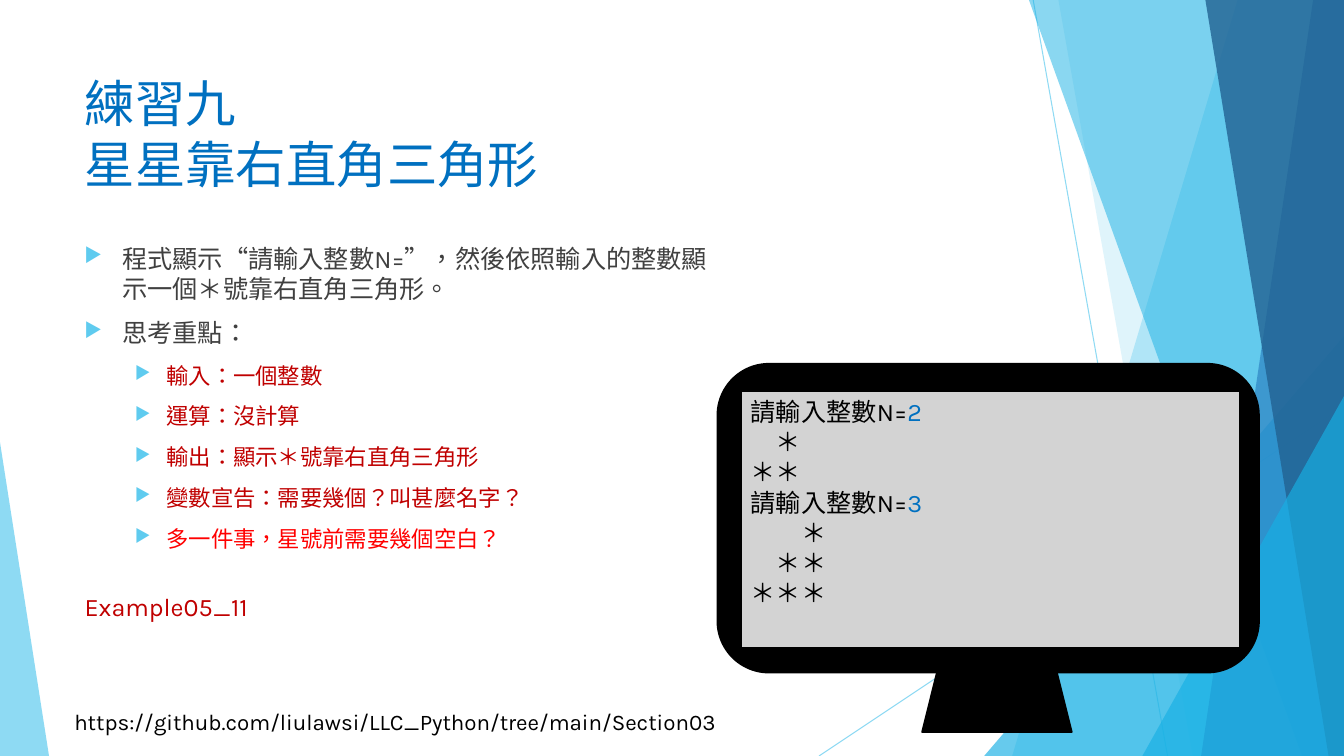
from dataclasses import dataclass

from lxml import etree
from pptx import Presentation
from pptx.dml.color import RGBColor
from pptx.enum.lang import MSO_LANGUAGE_ID
from pptx.enum.shapes import MSO_CONNECTOR, MSO_SHAPE
from pptx.enum.text import MSO_ANCHOR, MSO_AUTO_SIZE, PP_ALIGN
from pptx.oxml.ns import qn
from pptx.util import Pt

STRAIGHT = MSO_CONNECTOR.STRAIGHT
RECT = MSO_SHAPE.RECTANGLE
ROUNDED = MSO_SHAPE.ROUNDED_RECTANGLE
TRAPEZOID = MSO_SHAPE.TRAPEZOID
TRIANGLE = MSO_SHAPE.ISOSCELES_TRIANGLE
TOP = MSO_ANCHOR.TOP
LEFT = PP_ALIGN.LEFT
FIXED = MSO_AUTO_SIZE.NONE
ZH_TW = MSO_LANGUAGE_ID.TRADITIONAL_CHINESE
WIDTH, HEIGHT = 960, 540


@dataclass(frozen=True)
class Theme:
    font: str = "Karla"
    sky: str = "5FCBEF"
    cyan: str = "17B0E4"
    steel: str = "2E83C3"
    navy: str = "226292"
    blue: str = "0070C0"
    ink: str = "404040"
    black: str = "000000"
    screen: str = "D3D3D3"
    dark_red: str = "C00000"
    red: str = "FF0000"
    title_size: int = 36
    body_size: int = 18
    small_size: int = 16


class Deck:
    def __init__(self, theme):
        self.theme = theme
        self.prs = Presentation()
        self.prs.slide_width, self.prs.slide_height = Pt(WIDTH), Pt(HEIGHT)
        self.s = self.prs.slides.add_slide(self.prs.slide_layouts[5])

    def fade(self, sp, opacity):
        for clr in sp._element.spPr.iter(qn("a:srgbClr")):
            etree.SubElement(clr, qn("a:alpha"), val=str(opacity * 1000))

    def paint(self, sp, color, opacity=100, outline=False):
        sp.shadow.inherit = False
        sp.fill.solid()
        sp.fill.fore_color.rgb = RGBColor.from_string(color)
        if outline:
            sp.line.color.rgb = RGBColor.from_string(self.theme.black)
            sp.line.width = Pt(1.5)
        else:
            sp.line.fill.background()
        if opacity < 100:
            self.fade(sp, opacity)
        return sp

    def line(self, x1, y1, x2, y2, color, opacity):
        sp = self.s.shapes.add_connector(STRAIGHT, Pt(x1), Pt(y1), Pt(x2), Pt(y2))
        sp.line.color.rgb = RGBColor.from_string(color)
        sp.line.width = Pt(0.75)
        self.fade(sp, opacity)
        etree.SubElement(sp._element.spPr, qn("a:effectLst"))

    def facet(self, top_x, bottom_x, color, opacity):
        fb = self.s.shapes.build_freeform(Pt(top_x), 0)
        corners = [(WIDTH, 0), (WIDTH, HEIGHT), (bottom_x, HEIGHT)]
        fb.add_line_segments([(Pt(x), Pt(y)) for x, y in corners])
        self.paint(fb.convert_to_shape(), color, opacity)

    def shape(self, kind, box, color, opacity=100, adj=None, outline=False):
        sp = self.s.shapes.add_shape(kind, *map(Pt, box))
        if adj is not None:
            sp.adjustments[0] = adj
        return self.paint(sp, color, opacity, outline)

    def run(self, p, text, size, color):
        r = p.add_run()
        r.text = text
        style = {"name": self.theme.font, "size": Pt(size), "language_id": ZH_TW}
        for key, value in style.items():
            setattr(r.font, key, value)
        r.font.color.rgb = RGBColor.from_string(color)

    def frame(self, sp, wrap=True):
        tf = sp.text_frame
        style = {"word_wrap": wrap, "auto_size": FIXED, "vertical_anchor": TOP}
        for key, value in style.items():
            setattr(tf, key, value)
        return tf

    def paragraphs(self, tf):
        p = tf.paragraphs[0]
        while True:
            p.alignment = LEFT
            yield p
            p = tf.add_paragraph()

    def title(self, box, lines):
        sp = self.s.shapes.title
        sp.left, sp.top, sp.width, sp.height = map(Pt, box)
        p = next(self.paragraphs(self.frame(sp)))
        for i, text in enumerate(lines):
            if i:
                p.add_line_break()
            self.run(p, text, self.theme.title_size, self.theme.blue)

    def text(self, box, text, size, color, wrap=True):
        tf = self.frame(self.s.shapes.add_textbox(*map(Pt, box)), wrap)
        self.run(next(self.paragraphs(tf)), text, size, color)

    def bullet(self, p, margin, hang):
        pPr = p._p.get_or_add_pPr()
        pPr.set("marL", str(Pt(margin)))
        pPr.set("indent", str(-Pt(hang)))
        clr = etree.SubElement(pPr, qn("a:buClr"))
        etree.SubElement(clr, qn("a:srgbClr"), val=self.theme.sky)
        etree.SubElement(pPr, qn("a:buSzPct"), val="80000")
        etree.SubElement(pPr, qn("a:buChar"), char="▶")

    def bullets(self, box, items):
        t = self.theme
        levels = [(27, 27, t.body_size), (58.5, 22.5, t.small_size)]
        tf = self.frame(self.s.shapes.add_textbox(*map(Pt, box)))
        for i, (p, (level, text, color)) in enumerate(zip(self.paragraphs(tf), items)):
            margin, hang, size = levels[level]
            p.level = level
            if i:
                p.space_before = Pt(10)
            self.bullet(p, margin, hang)
            self.run(p, text, size, color)

    def console(self, box, sessions):
        t = self.theme
        sp = self.shape(RECT, box, t.screen, outline=True)
        ps = self.paragraphs(self.frame(sp))
        for n, rows in sessions:
            p = next(ps)
            self.run(p, "請輸入整數N=", t.body_size, t.black)
            self.run(p, n, t.body_size, t.blue)
            for row in rows:
                self.run(next(ps), row, t.body_size, t.black)


def main():
    t = Theme()
    deck = Deck(t)

    deck.line(738, 0, 834, HEIGHT, t.sky, 70)
    deck.line(WIDTH, 290, 585, HEIGHT, t.sky, 70)
    deck.facet(884, 723, t.sky, 36)
    deck.facet(756, 852, t.sky, 20)
    deck.shape(TRIANGLE, (703, 240, 257, 300), t.cyan, 66, adj=1)
    deck.facet(735, 930, t.cyan, 50)
    deck.facet(938, 858, t.steel, 70)
    deck.facet(861, 949, t.navy, 80)
    deck.shape(TRIANGLE, (816, 283, 144, 257), t.cyan, 66, adj=1)
    deck.shape(TRIANGLE, (0, 316, 35, 224), t.sky, 70, adj=0)

    deck.text((46, 502, 543, 27),
              "https://github.com/liulawsi/LLC_Python/tree/main/Section03",
              t.small_size, t.black)
    deck.title((53.3, 48, 677, 104), ["練習九", "星星靠右直角三角形"])
    deck.bullets((53.3, 170, 459.5, 305), [
        (0, "程式顯示“請輸入整數N=”，然後依照輸入的整數顯示一個＊號靠右直角三角形。", t.ink),
        (0, "思考重點：", t.ink),
        (1, "輸入：一個整數", t.dark_red),
        (1, "運算：沒計算", t.dark_red),
        (1, "輸出：顯示＊號靠右直角三角形", t.dark_red),
        (1, "變數宣告：需要幾個？叫甚麼名字？", t.dark_red),
        (1, "多一件事，星號前需要幾個空白？", t.red),
    ])

    deck.shape(ROUNDED, (512.6, 260, 386.6, 220.3), t.black, outline=True)
    deck.console((529.2, 279.4, 356.4, 183.6), [
        ("2", ["　＊", "＊＊"]),
        ("3", ["　　＊", "　＊＊", "＊＊＊"]),
    ])
    deck.shape(TRAPEZOID, (658.8, 480.3, 106.6, 42.5), t.black, outline=True)
    deck.text((53.3, 419, 132, 29), "Example05_11", t.body_size, t.dark_red, wrap=False)

    deck.prs.save("out.pptx")


if __name__ == "__main__":
    main()
